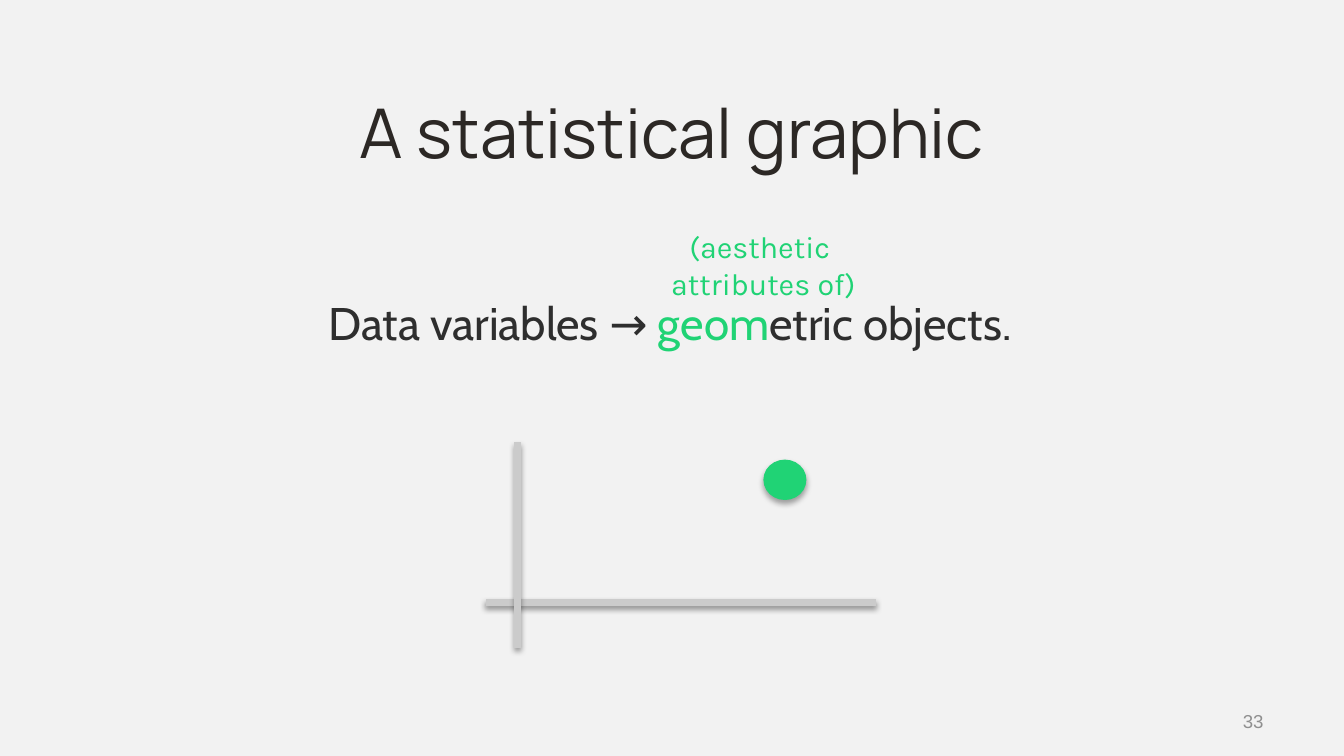
from dataclasses import dataclass

from lxml import etree
from pptx import Presentation
from pptx import util as u
from pptx.dml.color import RGBColor
from pptx.enum import shapes, text
from pptx.oxml.ns import qn

WIDE = 10
HIGH = WIDE * 9 / 16
GRID = 100  # columns and rows on the slide
HEX = {"back": "F2F2F2", "title": "2C2825", "body": "2E2E2E",
       "green": "20D375", "axis": "CBCBCB", "page": "8F8F8F", "black": "000000"}
ALIGN = text.PP_ALIGN
ANCHOR = text.MSO_ANCHOR


def across(cols: float) -> int:
    return u.Inches(cols * WIDE / GRID)


def down(rows: float) -> int:
    return u.Inches(rows * HIGH / GRID)


@dataclass
class Box:
    """Left, top, width and height in columns and rows."""
    x: float
    y: float
    w: float
    h: float

    def place(self) -> tuple:
        return across(self.x), down(self.y), across(self.w), down(self.h)


@dataclass
class Style:
    font: str
    size: float
    align: ALIGN = ALIGN.CENTER
    anchor: ANCHOR = ANCHOR.TOP
    inset: float = 0.05  # top and bottom, inches


@dataclass
class Axis:
    """Both ends in columns and rows."""
    x1: float
    y1: float
    x2: float
    y2: float


def tint(name: str) -> RGBColor:
    return RGBColor.from_string(HEX[name])


def write(shape, style: Style, lines: list) -> None:
    """Fill a shape with lines, each a list of (words, colour) runs."""
    frame = shape.text_frame
    frame.word_wrap = True
    frame.auto_size = text.MSO_AUTO_SIZE.NONE
    frame.vertical_anchor = style.anchor
    frame.margin_top = frame.margin_bottom = u.Inches(style.inset)
    for i, line in enumerate(lines):
        para = frame.paragraphs[0] if i == 0 else frame.add_paragraph()
        para.alignment = style.align
        for words, color in line:
            run = para.add_run()
            run.text = words
            run.font.name = style.font
            run.font.size = u.Pt(style.size)
            run.font.color.rgb = tint(color)


def label(slide, box: Box, style: Style, lines: list) -> None:
    write(slide.shapes.add_textbox(*box.place()), style, lines)


def shade(shape, alpha: int, dist: float) -> None:
    """Give a shape a soft shadow straight below it."""
    props = shape._element.spPr
    for old in props.findall(qn("a:effectLst")):
        props.remove(old)
    group = etree.SubElement(props, qn("a:effectLst"))
    outer = etree.SubElement(group, qn("a:outerShdw"), blurRad=str(u.Pt(3.1)),
                             dist=str(u.Pt(dist)), dir="5400000", rotWithShape="0")
    color = etree.SubElement(outer, qn("a:srgbClr"), val=HEX["black"])
    etree.SubElement(color, qn("a:alpha"), val=str(alpha * 1000))


def draw(slide, axis: Axis) -> None:
    bar = slide.shapes.add_connector(
        shapes.MSO_CONNECTOR.STRAIGHT, across(axis.x1), down(axis.y1),
        across(axis.x2), down(axis.y2))
    bar.line.color.rgb = tint("axis")
    bar.line.width = u.Pt(3.75)
    bar.line._get_or_add_ln().set("cap", "sq")
    shade(bar, 38, 1.6)


def main() -> None:
    deck = Presentation()
    deck.slide_width, deck.slide_height = u.Inches(WIDE), u.Inches(HIGH)
    slide = deck.slides.add_slide(deck.slide_layouts[5])
    slide.background.fill.solid()
    slide.background.fill.fore_color.rgb = tint("back")

    # Title
    title = slide.shapes.title
    spot = Box(15.2, 14.65, 69.6, 9.6)
    title.left, title.top, title.width, title.height = spot.place()
    write(title, Style("Manrope", 36.7, anchor=ANCHOR.BOTTOM, inset=0.08),
          [[("A statistical graphic", "title")]])

    # Sentence and the remark above it
    label(slide, Box(12.15, 27.02, 75.4, 65.8), Style("Cabin", 24.5, inset=0.67),
          [[("Data variables → ", "body"), ("geom", "green"),
            ("etric objects.", "body")]])
    label(slide, Box(43.85, 29.3, 25.9, 11.6), Style("Karla", 16.3),
          [[("(aesthetic ", "green")], [("attributes of)", "green")]])

    # Plot: one point and two axes
    dot = slide.shapes.add_shape(shapes.MSO_SHAPE.OVAL,
                                 *Box(56.8, 60.8, 3.2, 5.35).place())
    dot.fill.solid()
    dot.fill.fore_color.rgb = tint("green")
    dot.line.fill.background()
    shade(dot, 35, 1.8)
    for axis in (Axis(36.4, 79.7, 64.9, 79.7), Axis(38.5, 85.2, 38.5, 59)):
        draw(slide, axis)

    # Page number
    label(slide, Box(84.9, 92.7, 10.1, 5.35),
          Style("Arial", 10, ALIGN.RIGHT, ANCHOR.MIDDLE), [[("33", "page")]])

    deck.save("out.pptx")


if __name__ == "__main__":
    main()
